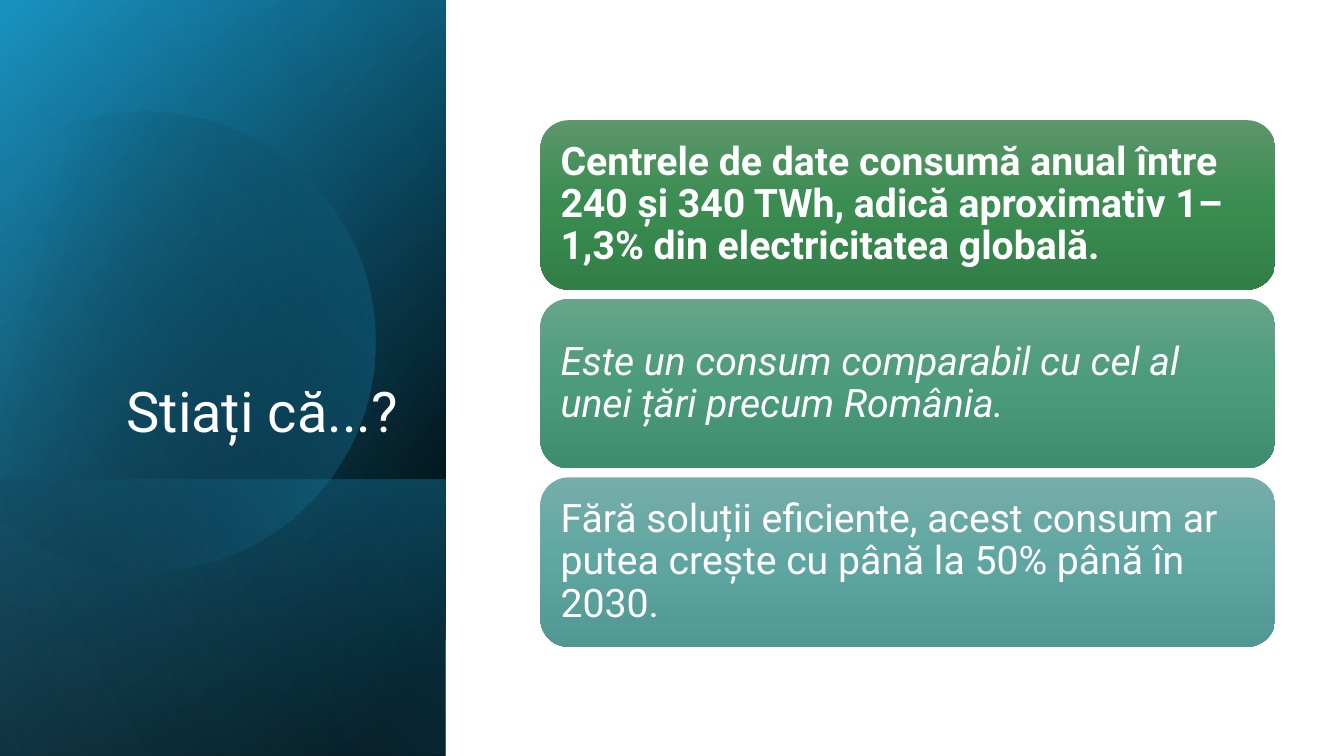
from math import cos, radians, sin

from lxml.etree import SubElement
from pptx import Presentation
from pptx.dml.color import RGBColor
from pptx.enum.shapes import MSO_SHAPE
from pptx.enum.text import MSO_ANCHOR, MSO_AUTO_SIZE, PP_ALIGN
from pptx.oxml.ns import qn
from pptx.util import Cm, Pt

COLOURS = {
    "white": "FFFFFF", "black": "000000",
    "deep_blue": "1482AC", "blue": "1CADE4", "pale_blue": "77CEEF",
    "green_top": "5C966A", "green_mid": "3A8C51", "green_end": "317F47",
    "jade_top": "67A48A", "jade_mid": "4B9B7C", "jade_end": "3F8D6F",
    "teal_top": "76ADA9", "teal_mid": "5FA6A2", "teal_end": "519793",
}
FACTS = [
    ("Centrele de date consumă anual între 240 și 340 TWh, "
     "adică aproximativ 1–1,3% din electricitatea globală.", "green", {"bold": True}),
    ("Este un consum comparabil cu cel al unei țări precum România.",
     "jade", {"italic": True}),
    ("Fără soluții eficiente, acest consum ar putea crește cu până la 50% până în 2030.",
     "teal", {}),
]


def apply_format(target, values):
    """Set every attribute in values on target."""
    for name, value in values.items():
        setattr(target, name, value)


def paint_gradient(shape, stops, angle):
    """Fill a shape with (position, colour, opacity) stops at a clockwise angle."""
    shape.shadow.inherit = False
    shape.line.fill.background()
    shape.fill.gradient()
    shape.fill.gradient_angle = (360 - angle) % 360
    stop_list = shape._element.spPr.find(qn("a:gradFill")).find(qn("a:gsLst"))
    for old_stop in list(stop_list):
        stop_list.remove(old_stop)
    for position, colour, opacity in stops:
        stop = SubElement(stop_list, qn("a:gs"), pos=str(position * 1000))
        tint = SubElement(stop, qn("a:srgbClr"), val=COLOURS[colour])
        if opacity < 100:
            SubElement(tint, qn("a:alpha"), val=str(opacity * 1000))


def write_text(shape, text, size, alignment, frame_format, font_format):
    """Write one formatted paragraph into a shape."""
    frame = shape.text_frame
    frame.text = text
    apply_format(frame, {"word_wrap": True, "auto_size": MSO_AUTO_SIZE.NONE, **frame_format})
    paragraph = frame.paragraphs[0]
    apply_format(paragraph, {"alignment": alignment, "line_spacing": 0.9})
    font = paragraph.runs[0].font
    apply_format(font, {"name": "Roboto", "size": Pt(size), **font_format})
    font.color.rgb = RGBColor.from_string(COLOURS["white"])


def add_layer(slide, left, top, width, height, stops, angle):
    """Cover the box with a mirrored rectangle turned by a quarter."""
    layer = slide.shapes.add_shape(
        MSO_SHAPE.RECTANGLE, Cm(left + (width - height) / 2),
        Cm(top + (height - width) / 2), Cm(height), Cm(width))
    layer.rotation = 90
    layer._element.spPr.find(qn("a:xfrm")).set("flipH", "1")
    paint_gradient(layer, stops, angle)


def add_disc(slide, centre_x, centre_y, radius):
    """Draw a tilted disc with its left side cut off."""
    tilt, half_cut, steps = 16.1, 46, 90
    start, sweep = 180 + tilt + half_cut, 360 - 2 * half_cut
    angles = [radians(start + sweep * step / steps) for step in range(steps + 1)]
    rim = [(Cm(centre_x + radius * cos(a)), Cm(centre_y + radius * sin(a))) for a in angles]
    outline = slide.shapes.build_freeform(*rim[0])
    outline.add_line_segments(rim[1:], close=True)
    disc = outline.convert_to_shape()
    disc.rotation = 360 - tilt
    paint_gradient(disc, [(29, "black", 0), (100, "blue", 43)], 30)


def add_side_panel(slide, left, top, width, height):
    """Build the layered blue panel and its title."""
    band = 6.96
    box = (left, top, width, height)
    add_layer(slide, *box, [(8, "black", 100), (100, "deep_blue", 100)], 50)
    add_layer(slide, *box, [(0, "black", 0), (99, "blue", 46)], 30)
    add_layer(slide, left, top + height - band, width, band,
              [(2, "blue", 29), (100, "black", 30)], 130)
    add_disc(slide, left + 3.64, top + 8.5, 5.8)
    add_layer(slide, *box, [(0, "black", 0), (99, "pale_blue", 11)], 120)

    title = slide.shapes.title
    slide.shapes._spTree.append(title._element)
    apply_format(title, {"left": Cm(left + 1.63), "top": Cm(top + 4.67),
                         "width": Cm(8.66), "height": Cm(6.65)})
    write_text(title, "Stiați că...?", 40, PP_ALIGN.RIGHT,
               {"vertical_anchor": MSO_ANCHOR.BOTTOM}, {})


def add_fact_cards(slide, left, top, width, height):
    """Stack the fact cards evenly in the box."""
    gap = 0.23
    card_height = (height - gap * (len(FACTS) - 1)) / len(FACTS)
    margins = {f"margin_{side}": Cm(0.3) for side in ("left", "top", "right", "bottom")}
    for index, (fact, hue, emphasis) in enumerate(FACTS):
        card = slide.shapes.add_shape(
            MSO_SHAPE.ROUNDED_RECTANGLE, Cm(left), Cm(top + index * (card_height + gap)),
            Cm(width), Cm(card_height))
        paint_gradient(card, [(0, f"{hue}_top", 100), (50, f"{hue}_mid", 100),
                              (100, f"{hue}_end", 100)], 90)
        write_text(card, fact, 28, PP_ALIGN.LEFT,
                   {"vertical_anchor": MSO_ANCHOR.MIDDLE, **margins}, emphasis)


def main():
    """Build and save the slide."""
    deck = Presentation()
    apply_format(deck, {"slide_width": Cm(33.87), "slide_height": Cm(19.05)})
    slide = deck.slides.add_slide(deck.slide_layouts[5])
    add_side_panel(slide, 0, 0, 11.23, 19.05)
    add_fact_cards(slide, 13.62, 3.03, 18.52, 13.27)
    deck.save("out.pptx")


if __name__ == "__main__":
    main()
